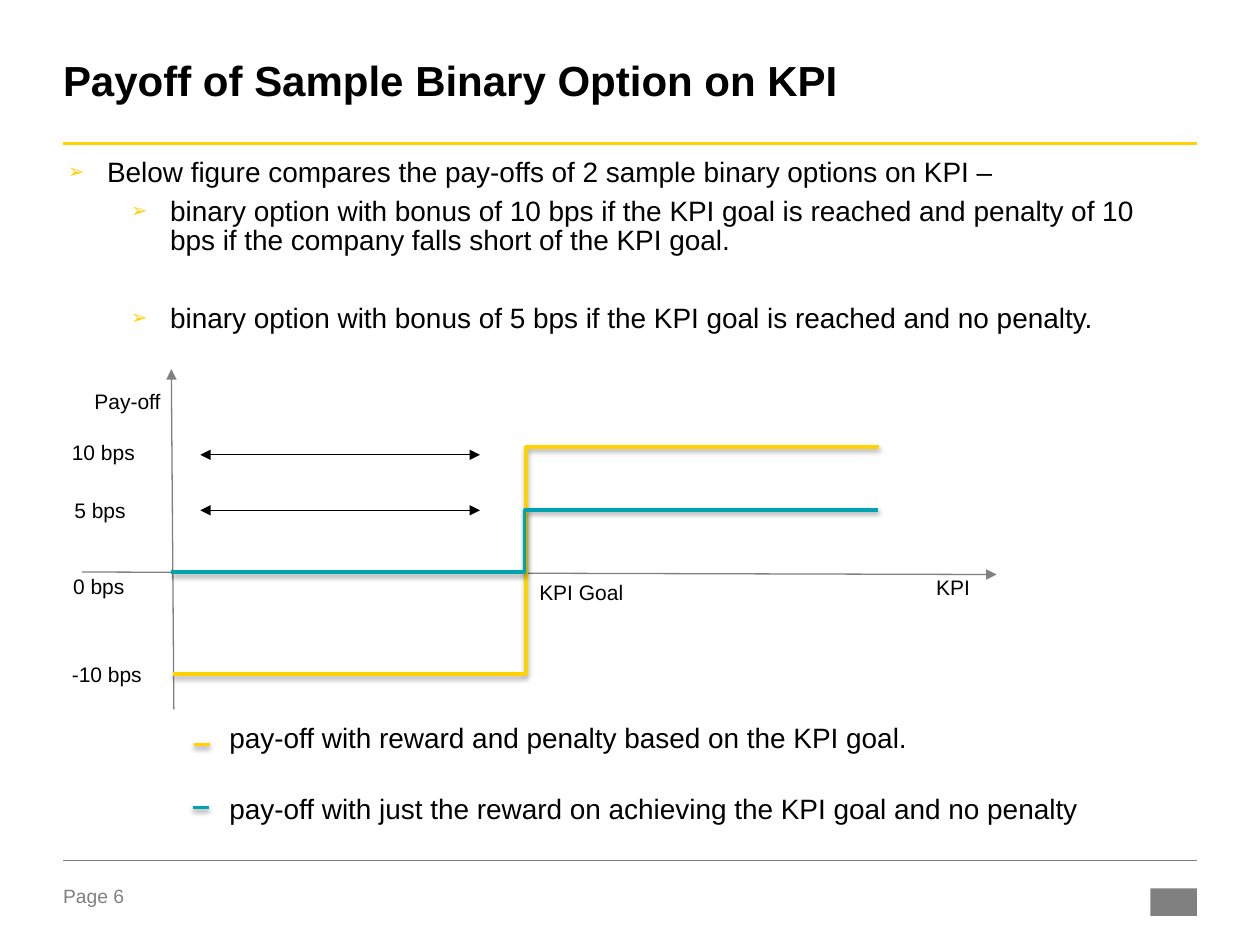
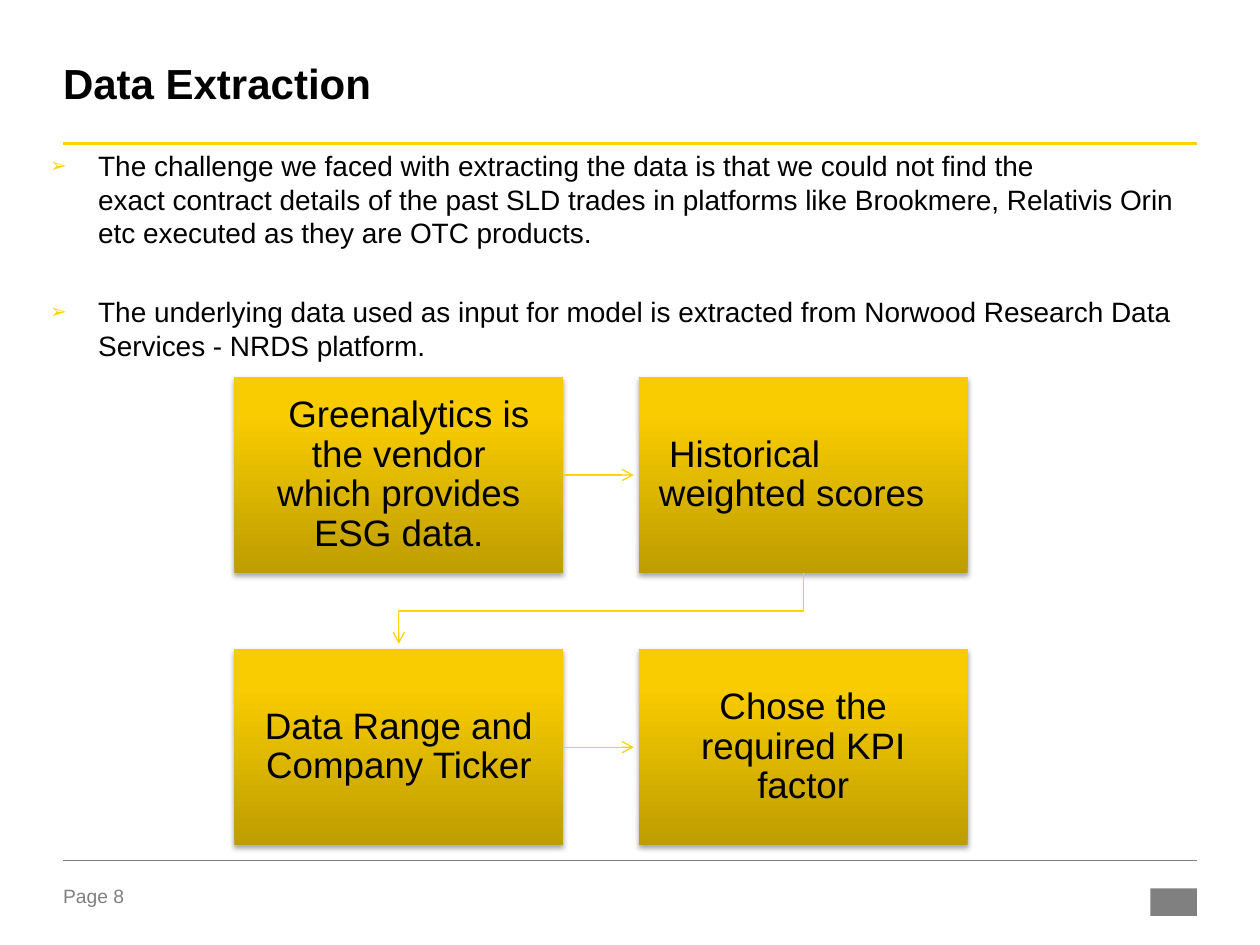
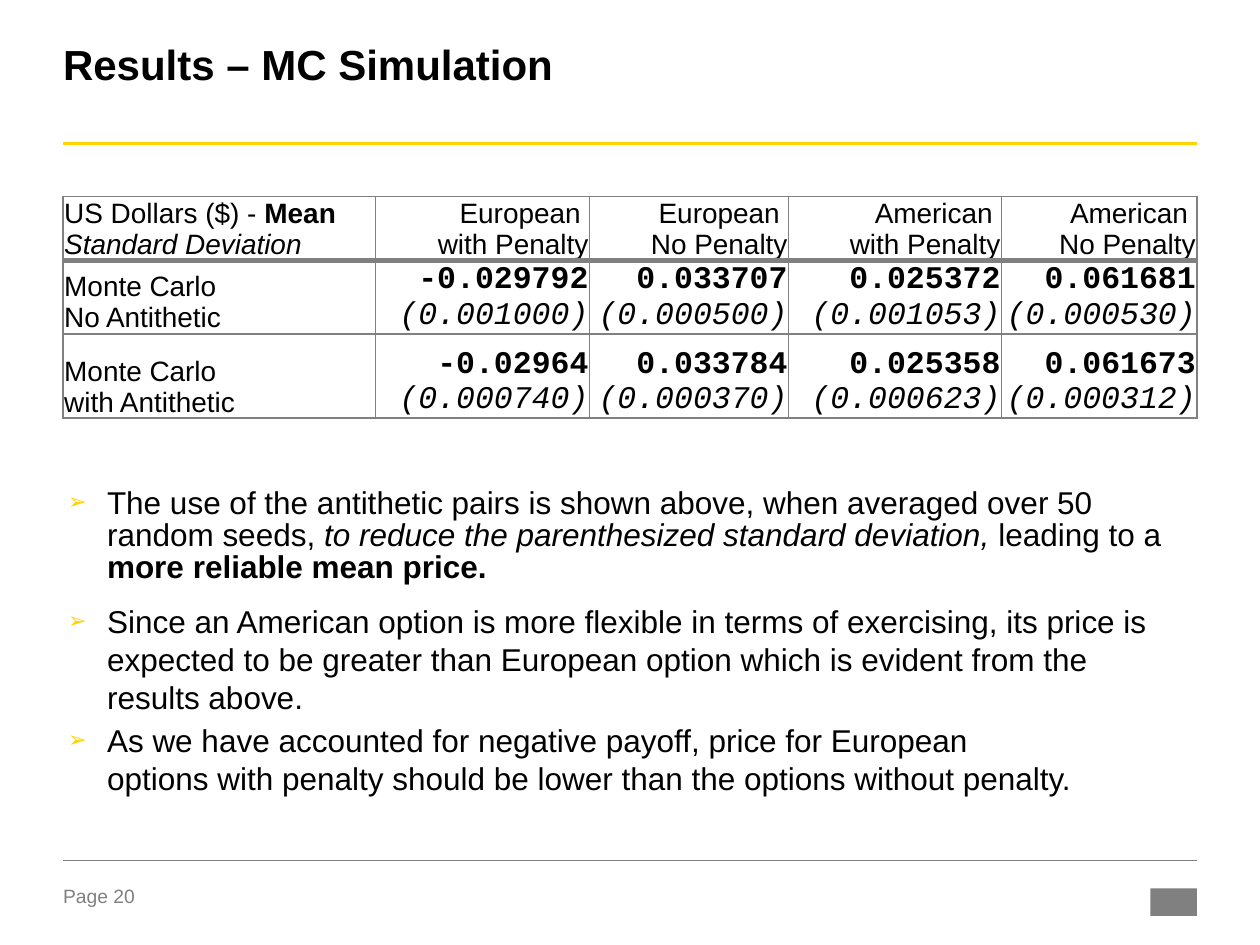
import lxml.etree
import pptx
import pptx.dml.color
import pptx.enum.shapes
import pptx.enum.text
import pptx.oxml.ns
import pptx.util

Inches, Pt = pptx.util.Inches, pptx.util.Pt
qn = pptx.oxml.ns.qn
ALIGN = pptx.enum.text.PP_ALIGN
ANCHOR = pptx.enum.text.MSO_ANCHOR
SHAPE = pptx.enum.shapes.MSO_SHAPE
CONNECTOR = pptx.enum.shapes.MSO_CONNECTOR

# ---- Content (a tilde stands for a non-breaking space) ----
NO_BREAK_SPACE = chr(160)
COLORS = {"yellow": "FFD200", "teal": "00A3AE", "grey": "808080", "black": "000000",
          "box_light": "F8CC00", "box_dark": "BE9D00"}
BOLD, ITALIC = {"bold": True}, {"italic": True}
LEFT, RIGHT = 0.5, 9.5

PAYOFF = {"title": "Payoff of Sample Binary Option on KPI", "top": 0.19, "page": 6}
PAYOFF_POINTS = [  # text, level, space before
    ("Below figure compares the pay-offs of 2 sample binary options on KPI –", 0, 0),
    ("binary option with bonus of 10 bps if the KPI goal is reached and penalty of 10 bps "
     "if the company falls short of the KPI goal.", 1, 0),
    ("binary option with bonus of 5 bps if the KPI goal is reached and no penalty.", 1, 22.5),
]
AXES = [((1.38, 5.63), (1.36, 2.93)), ((0.65, 4.54), (7.91, 4.56))]
PAYOFF_STEPS = [("yellow", (1.37, 5.35), (6.98, 3.55)), ("teal", (1.36, 4.54), (6.97, 4.05))]
RANGE_ARROW_TOPS = [3.61, 4.05]
CHART_LABELS = [  # text, left, top, width
    ("Pay-off", 0.75, 3.07, 0.93), ("10 bps", 0.57, 3.48, 0.68),
    ("5 bps", 0.59, 3.94, 0.65), ("0 bps", 0.58, 4.54, 0.59),
    ("-10 bps", 0.57, 5.24, 0.71), ("KPI Goal", 4.28, 4.59, 0.79),
    ("KPI", 7.43, 4.55, 1.75),
]
LEGEND = [  # text, colour, left and top of the key
    ("pay-off with reward and penalty based on the KPI goal.", "yellow", 1.54, 5.91),
    ("pay-off with just the reward on achieving the KPI goal and no penalty", "teal", 1.53, 6.41),
]

EXTRACTION = {"title": "Data Extraction", "top": 0.22, "page": 8}
EXTRACTION_POINTS = [  # text, space before
    ("The challenge we faced with extracting the data is that we could not find the "
     "exact~contract details of the past SLD~trades~in platforms like Brookmere, "
     "Relativis Orin etc executed as they are OTC products.", 3),
    ("The underlying data used as input for model is extracted from~Norwood Research Data "
     "Services -~NRDS platform.", 26),
]
STEPS = [  # text, alignment, first-line indent
    ("Greenalytics~is the vendor which~provides ESG~data.", ALIGN.CENTER, 0.16),
    ("Historical weighted scores", ALIGN.LEFT, 0.08),
    ("Data Range and Company Ticker", ALIGN.CENTER, 0),
    ("Chose the required KPI factor", ALIGN.CENTER, 0),
]

RESULTS = {"title": "Results – MC Simulation", "top": 0.07, "page": 20}
OPTIONS = [("European~", "with Penalty"), ("European~", "No Penalty"),
           ("American~", "with Penalty"), ("American~", "No Penalty")]
SIMULATIONS = [  # row label, then mean and standard deviation of each option
    (("Monte Carlo", "No Antithetic"),
     [("-0.029792", "(0.001000)"), ("0.033707", "(0.000500)"),
      ("0.025372", "(0.001053)"), ("0.061681", "(0.000530)")]),
    (("Monte Carlo", "with Antithetic"),
     [("-0.02964", "(0.000740)"), ("0.033784", "(0.000370)"),
      ("0.025358", "(0.000623)"), ("0.061673", "(0.000312)")]),
]
COLUMN_WIDTHS = [2.48, 1.7, 1.58, 1.69, 1.55]
ROW_HEIGHTS = [0.51, 0.58, 0.67]
RESULTS_POINTS = [  # runs, paragraph format
    ([("The use of the antithetic pairs is shown above, when averaged over 50 random seeds, ", {}),
      ("to reduce the parenthesized standard deviation,", ITALIC),
      (" leading to a ", {}), ("more reliable mean~price.", BOLD)],
     {"line_spacing": 0.85, "space_after": Pt(6)}),
    ("Since an American~option is more flexible in terms of exercising, its price is expected "
     "to~be greater than European~option which is evident from the results above.",
     {"space_before": Pt(3.5)}),
    ("As we have accounted for~negative payoff, price for European "
     "options~with~penalty~should be lower than the options without penalty.",
     {"space_before": Pt(3.5)}),
]
TIGHT = {"line_spacing": 0.85, "space_after": Pt(6)}


# ---- Text ----
def rgb(color):
    return pptx.dml.color.RGBColor.from_string(COLORS[color])


def set_all(target, values):
    for name, value in values.items():
        setattr(target, name, value)


def add_element(parent, tag, **attributes):
    element = lxml.etree.SubElement(parent, qn(tag))
    for name, value in attributes.items():
        element.set(name, str(value))
    return element


def write(paragraph, runs, size, color="black", font="Arial", **values):
    """Fill a paragraph with a string or a list of (text, font format) runs."""
    set_all(paragraph, values)
    for text, style in [(runs, {})] if isinstance(runs, str) else runs:
        run = paragraph.add_run()
        run.text = text.replace("~", NO_BREAK_SPACE)
        set_all(run.font, {"name": font, "size": Pt(size), **style})
        run.font.color.rgb = rgb(color)


def indent(paragraph, margin, first_line):
    properties = paragraph._p.get_or_add_pPr()
    properties.set("marL", str(Inches(margin)))
    properties.set("indent", str(Inches(first_line)))
    return properties


def add_bullet(paragraph, margin, hanging):
    properties = indent(paragraph, margin, -hanging)
    add_element(add_element(properties, "a:buClr"), "a:srgbClr", val=COLORS["yellow"])
    add_element(properties, "a:buSzPct", val=70000)
    add_element(properties, "a:buFont", typeface="Arial")
    add_element(properties, "a:buChar", char="➢")


def set_frame(frame, margins=(0, 0, 0, 0), anchor=ANCHOR.TOP):
    left, top, right, bottom = map(Inches, margins)
    set_all(frame, {"margin_left": left, "margin_top": top, "margin_right": right,
                    "margin_bottom": bottom, "word_wrap": True, "vertical_anchor": anchor,
                    "auto_size": pptx.enum.text.MSO_AUTO_SIZE.NONE})


def add_frame(slide, left, top, width, height, margin_top=0.04):
    frame = slide.shapes.add_textbox(*map(Inches, (left, top, width, height))).text_frame
    set_frame(frame, (0, margin_top, 0, 0))
    return frame


def paragraphs_for(frame, items):
    """Pair each item with its own paragraph."""
    for index, item in enumerate(items):
        yield (frame.add_paragraph() if index else frame.paragraphs[0]), item


# ---- Lines and shadows ----
def add_shadow(shape, alpha, distance):
    properties = shape._element.spPr
    effects = properties.find(qn("a:effectLst"))
    shadow = add_element(effects, "a:outerShdw", blurRad=Pt(3.1), dist=Pt(distance),
                         dir=5400000, rotWithShape=0)
    add_element(add_element(shadow, "a:srgbClr", val=COLORS["black"]), "a:alpha", val=alpha * 1000)


def style_line(shape, color, width, head=None, tail=None):
    shape.line.color.rgb = rgb(color)
    shape.line.width = Pt(width)
    line = shape._element.spPr.find(qn("a:ln"))
    for tag, kind in (("a:headEnd", head), ("a:tailEnd", tail)):
        if kind:
            add_element(line, tag, type=kind)


def add_line(slide, start, end, color, width, kind=CONNECTOR.STRAIGHT, shadow=False, **ends):
    line = slide.shapes.add_connector(kind, *map(Inches, (*start, *end)))
    style_line(line, color, width, **ends)
    add_element(line._element.spPr, "a:effectLst")
    if shadow:
        add_shadow(line, 38, 1.6)


# ---- Shared slide frame ----
def add_slide(presentation, content):
    slide = presentation.slides.add_slide(presentation.slide_layouts[5])
    title = slide.shapes.title
    set_all(title, {"left": Inches(LEFT), "top": Inches(content["top"]),
                    "width": Inches(RIGHT - LEFT), "height": Inches(0.94)})
    set_frame(title.text_frame, anchor=ANCHOR.MIDDLE)
    write(title.text_frame.paragraphs[0], [(content["title"], BOLD)], 24,
          alignment=ALIGN.LEFT, line_spacing=0.85)
    for top, color, width in ((1.14, "yellow", 1.5), (6.83, "grey", 0.25)):
        add_line(slide, (LEFT, top), (RIGHT, top), color, width)
    footer = add_frame(slide, LEFT, 7.02, 0.79, 0.22, margin_top=0)
    write(footer.paragraphs[0], f"Page {content['page']}", 11, "grey")
    mark = slide.shapes.add_shape(SHAPE.RECTANGLE, *map(Inches, (9.13, 7.05, 0.37, 0.22)))
    mark.shadow.inherit = False
    mark.fill.solid()
    mark.fill.fore_color.rgb = rgb("grey")
    mark.line.fill.background()
    return slide


# ---- Payoff slide ----
def build_payoff(presentation):
    slide = add_slide(presentation, PAYOFF)
    frame = add_frame(slide, 0.54, 1.23, 8.86, 1.44)
    for paragraph, (text, level, before) in paragraphs_for(frame, PAYOFF_POINTS):
        write(paragraph, text, 16, level=level, space_before=Pt(before), **TIGHT)
        add_bullet(paragraph, 0.31 + 0.5 * level, 0.31)

    # Axes, payoff steps and range arrows
    for start, end in AXES:
        add_line(slide, start, end, "grey", 0.75, tail="triangle")
    for color, start, end in PAYOFF_STEPS:
        add_line(slide, start, end, color, 2, CONNECTOR.ELBOW, shadow=True)
    for top in RANGE_ARROW_TOPS:
        add_line(slide, (1.59, top), (3.81, top), "black", 0.75, head="triangle", tail="triangle")
    for text, left, top, width in CHART_LABELS:
        write(add_frame(slide, left, top, width, 0.21).paragraphs[0], text, 12, **TIGHT)

    # Legend
    frame = add_frame(slide, 1.82, 5.72, 7.17, 0.9)
    for paragraph, (text, color, left, top) in paragraphs_for(frame, LEGEND):
        write(paragraph, text, 16, line_spacing=0.85, space_after=Pt(24.5))
        add_line(slide, (left, top), (left + 0.13, top), color, 2, shadow=True)


# ---- Data extraction slide ----
def build_extraction(presentation):
    slide = add_slide(presentation, EXTRACTION)
    frame = add_frame(slide, 0.4, 1.18, 9, 1.75, margin_top=0)
    for paragraph, (text, before) in paragraphs_for(frame, EXTRACTION_POINTS):
        write(paragraph, text, 16, space_before=Pt(before))
        add_bullet(paragraph, 0.38, 0.38)

    # Two-by-two grid of steps, with an arrow along each row
    left, top, width, height, column_step, row_step = 1.86, 2.99, 2.61, 1.56, 3.21, 2.16
    arrow_gap = 0.04
    for index, (text, alignment, first_line) in enumerate(STEPS):
        row, column = divmod(index, 2)
        x, y = left + column * column_step, top + row * row_step
        box = slide.shapes.add_shape(SHAPE.RECTANGLE, *map(Inches, (x, y, width, height)))
        box.shadow.inherit = False
        add_shadow(box, 35, 1.8)
        box.line.fill.background()
        box.fill.gradient()
        box.fill.gradient_angle = 90
        for stop, color, position in zip(box.fill.gradient_stops, ("box_dark", "box_light"), (0, 0.8)):
            stop.color.rgb = rgb(color)
            stop.position = position
        set_frame(box.text_frame, (0.16,) * 4, ANCHOR.MIDDLE)
        paragraph = box.text_frame.paragraphs[0]
        write(paragraph, text, 21, alignment=alignment, line_spacing=0.9)
        indent(paragraph, 0, first_line)
        if column == 0:
            middle = y + height / 2
            add_line(slide, (x + width, middle), (x + column_step - arrow_gap, middle),
                     "yellow", 0.75, tail="arrow")

    # Bent arrow from the end of the first row to the start of the second
    end_x, bottom = left + width / 2, top + height
    start_x, turn = end_x + column_step, bottom + (row_step - height) / 2
    builder = slide.shapes.build_freeform(Inches(start_x), Inches(bottom))
    builder.add_line_segments([(Inches(x), Inches(y)) for x, y in (
        (start_x, turn), (end_x, turn), (end_x, top + row_step - arrow_gap))], close=False)
    arrow = builder.convert_to_shape()
    arrow.shadow.inherit = False
    arrow.fill.background()
    style_line(arrow, "yellow", 0.75, tail="arrow")


# ---- Results slide ----
def set_borders(cell, bottom_width):
    properties = cell._tc.get_or_add_tcPr()
    for index, (tag, width) in enumerate((("a:lnL", 1), ("a:lnR", 1), ("a:lnT", 1),
                                          ("a:lnB", bottom_width))):
        border = add_element(properties, tag, w=Pt(width))
        add_element(add_element(border, "a:solidFill"), "a:srgbClr", val=COLORS["grey"])
        properties.insert(index, border)


def table_rows():
    """Give each cell as its lines (runs), font and size."""
    header = [[[("US Dollars ($) - ", {}), ("Mean", BOLD)], [("Standard Deviation", ITALIC)]]]
    yield [(lines, "Arial", 16) for lines in header + OPTIONS]
    for label, results in SIMULATIONS:
        yield [(label, "Arial", 16)] + [
            ([[(mean, BOLD)], [(deviation, ITALIC)]], "Courier New", 18)
            for mean, deviation in results]


def build_results(presentation):
    slide = add_slide(presentation, RESULTS)
    table = slide.shapes.add_table(
        len(ROW_HEIGHTS), len(COLUMN_WIDTHS), Inches(LEFT), Inches(1.56),
        Inches(sum(COLUMN_WIDTHS)), Inches(sum(ROW_HEIGHTS))).table
    set_all(table, {"first_row": False, "horz_banding": False})
    for column, width in zip(table.columns, COLUMN_WIDTHS):
        column.width = Inches(width)
    for row, height in zip(table.rows, ROW_HEIGHTS):
        row.height = Inches(height)
    for row_index, row in enumerate(table_rows()):
        for column_index, (lines, font, size) in enumerate(row):
            cell = table.cell(row_index, column_index)
            set_all(cell, {"margin_left": Inches(0.01), "margin_top": Inches(0.01),
                           "margin_right": Inches(0.01), "margin_bottom": 0,
                           "vertical_anchor": ANCHOR.BOTTOM})
            cell.fill.background()
            set_borders(cell, 1 if row_index else 3)
            for paragraph, runs in paragraphs_for(cell.text_frame, lines):
                write(paragraph, runs, size, font=font,
                      alignment=ALIGN.RIGHT if column_index else ALIGN.LEFT)

    frame = add_frame(slide, 0.54, 3.84, 8.86, 2.53)
    for paragraph, (runs, values) in paragraphs_for(frame, RESULTS_POINTS):
        write(paragraph, runs, 18, **values)
        add_bullet(paragraph, 0.31, 0.31)


def main():
    presentation = pptx.Presentation()
    presentation.slide_width, presentation.slide_height = Inches(10), Inches(7.5)
    for build in (build_payoff, build_extraction, build_results):
        build(presentation)
    presentation.save("out.pptx")


if __name__ == "__main__":
    main()
